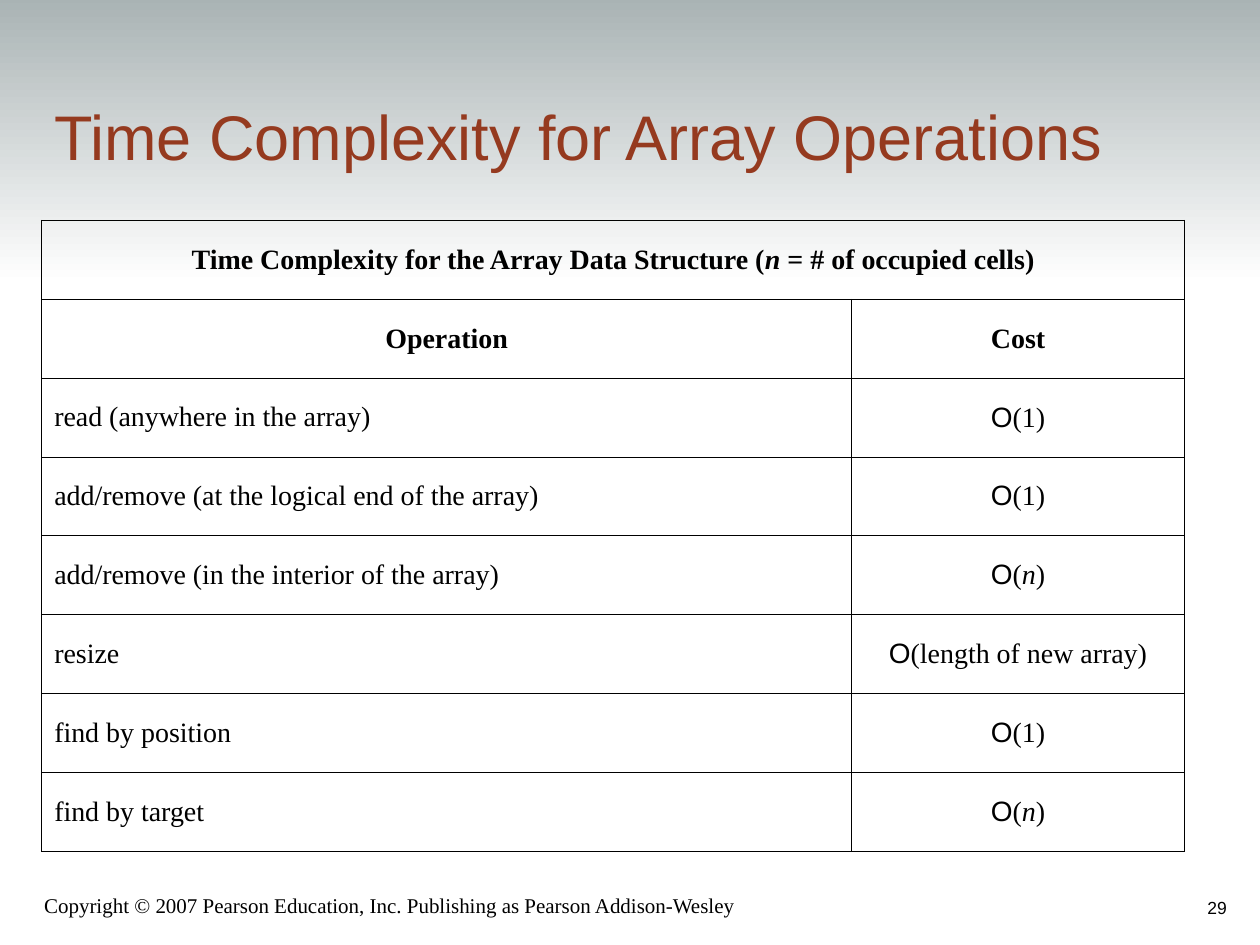
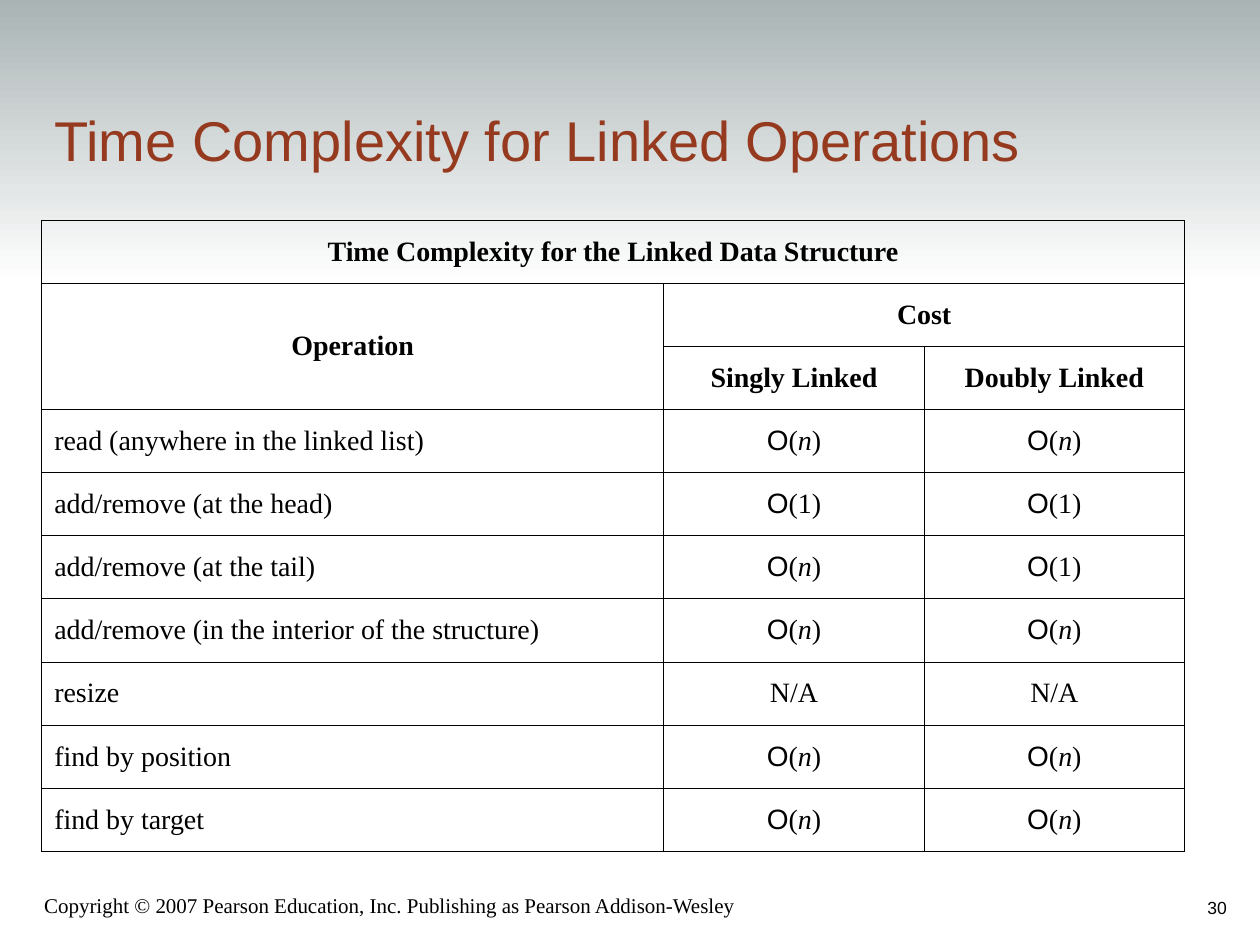
from pptx import Presentation, util as u
from pptx.dml.color import RGBColor
from pptx.enum import shapes, text
from pptx.oxml import parse_xml
from pptx.oxml.ns import nsdecls

SERIF, SANS = "Times New Roman", "Arial"
INK, TITLE_COLOUR, BAND_TOP, BAND_END = "000000", "953A1F", "A7B1B2", "FFFFFF"
LEFT, CENTRE, RIGHT = text.PP_ALIGN.LEFT, text.PP_ALIGN.CENTER, text.PP_ALIGN.RIGHT

COPYRIGHT = "Copyright © 2007 Pearson Education, Inc. Publishing as Pearson Addison-Wesley"
FIRST_NUMBER = 29
TITLE_TOP, TITLE_HEIGHT = 0.84, 2.77
TABLE_LEFT, TABLE_TOP, TABLE_HEIGHT = 0.84, 4.44, 12.72

# Text between asterisks is italic; None marks a cell covered by a merge.
CONSTANT, LINEAR = "Ο(1)", "Ο(*n*)"
SLIDES = [
    {
        "title": "Time Complexity for Array Operations",
        "title_size": 36,
        "title_width": 23.4,
        "columns": [16.33, 6.71],
        "header_rows": 2,
        "merges": [((0, 0), (0, 1))],
        "rows": [
            ["Time Complexity for the Array Data Structure (*n* = # of occupied cells)", None],
            ["Operation", "Cost"],
            ["read (anywhere in the array)", CONSTANT],
            ["add/remove (at the logical end of the array)", CONSTANT],
            ["add/remove (in the interior of the array)", LINEAR],
            ["resize", "Ο(length of new array)"],
            ["find by position", CONSTANT],
            ["find by target", LINEAR],
        ],
    },
    {
        "title": "Time Complexity for Linked Operations",
        "title_size": 32,
        "title_width": 21.5,
        "columns": [12.54, 5.25, 5.25],
        "header_rows": 3,
        "merges": [((0, 0), (0, 2)), ((1, 0), (2, 0)), ((1, 1), (1, 2))],
        "rows": [
            ["Time Complexity for the Linked Data Structure", None, None],
            ["Operation", "Cost", None],
            [None, "Singly Linked", "Doubly Linked"],
            ["read (anywhere in the linked list)", LINEAR, LINEAR],
            ["add/remove (at the head)", CONSTANT, CONSTANT],
            ["add/remove (at the tail)", LINEAR, CONSTANT],
            ["add/remove (in the interior of the structure)", LINEAR, LINEAR],
            ["resize", "N/A", "N/A"],
            ["find by position", LINEAR, LINEAR],
            ["find by target", LINEAR, LINEAR],
        ],
    },
]


def colour(code):
    return RGBColor.from_string(code)


def write(frame, content, size=16, font=SERIF, ink=INK, bold=False, align=LEFT):
    """Fill the first paragraph; the Omicron of a cost is set in the sans font."""
    para = frame.paragraphs[0]
    para.alignment = align
    for index, part in enumerate(content.split("*")):
        omicron = "Ο" if part.startswith("Ο") else ""
        for piece, face in ((omicron, SANS), (part[len(omicron):], font)):
            if piece:
                span = para.add_run()
                span.text = piece
                span.font.name, span.font.size = face, u.Pt(size)
                span.font.bold, span.font.italic = bold, index % 2 == 1
                span.font.color.rgb = colour(ink)


def place(shape, left, top, width, height):
    shape.left, shape.top = u.Cm(left), u.Cm(top)
    shape.width, shape.height = u.Cm(width), u.Cm(height)


def anchor_bottom(frame):
    frame.word_wrap = True
    frame.auto_size = text.MSO_AUTO_SIZE.NONE
    frame.vertical_anchor = text.MSO_ANCHOR.BOTTOM


def add_band(page):
    band = page.shapes.add_shape(
        shapes.MSO_SHAPE.RECTANGLE, u.Cm(0), u.Cm(-0.2), u.Cm(25.4), u.Cm(5.92))
    band.shadow.inherit = False
    band.line.fill.background()
    band.fill.gradient()
    band.fill.gradient_angle = 270
    for stop, position, code in zip(band.fill.gradient_stops, (0, 1), (BAND_TOP, BAND_END)):
        stop.position, stop.color.rgb = position, colour(code)
    page.shapes.element.insert(2, band.element)  # behind the title


def add_title(page, slide):
    title = page.shapes.title
    place(title, TABLE_LEFT, TITLE_TOP, slide["title_width"], TITLE_HEIGHT)
    anchor_bottom(title.text_frame)
    write(title.text_frame, slide["title"], slide["title_size"], SANS, TITLE_COLOUR)


def add_footer(page, content, left, top, width, height, **style):
    box = page.shapes.add_textbox(u.Cm(left), u.Cm(top), u.Cm(width), u.Cm(height))
    anchor_bottom(box.text_frame)
    write(box.text_frame, content, **style)


def add_borders(cell):
    properties = cell._tc.get_or_add_tcPr()
    for index, side in enumerate(("lnL", "lnR", "lnT", "lnB")):
        properties.insert(index, parse_xml(
            f'<a:{side} {nsdecls("a")} w="{u.Pt(0.45)}">'
            f'<a:solidFill><a:srgbClr val="{INK}"/></a:solidFill></a:{side}>'))


def add_cost_table(page, slide):
    rows, columns = slide["rows"], slide["columns"]
    table = page.shapes.add_table(
        len(rows), len(columns), u.Cm(TABLE_LEFT), u.Cm(TABLE_TOP),
        u.Cm(sum(columns)), u.Cm(TABLE_HEIGHT)).table
    table.first_row = table.horz_banding = False
    for column, width in zip(table.columns, columns):
        column.width = u.Cm(width)
    for start, end in slide["merges"]:
        table.cell(*start).merge(table.cell(*end))
    for row, contents in enumerate(rows):
        heading = row < slide["header_rows"]
        for column, content in enumerate(contents):
            cell = table.cell(row, column)
            cell.fill.background()
            cell.vertical_anchor = text.MSO_ANCHOR.MIDDLE
            add_borders(cell)
            if content:
                align = CENTRE if heading or column else LEFT
                write(cell.text_frame, content, bold=heading, align=align)


def main():
    deck = Presentation()
    deck.slide_width, deck.slide_height = u.Cm(25.4), u.Cm(19.05)
    for number, slide in enumerate(SLIDES, FIRST_NUMBER):
        page = deck.slides.add_slide(deck.slide_layouts[5])
        add_band(page)
        add_title(page, slide)
        add_cost_table(page, slide)
        add_footer(page, COPYRIGHT, 0.64, 17.57, 15.45, 1.06, size=12)
        add_footer(page, str(number), 19.69, 17.36, 5.29, 1.27,
                   size=10, font=SANS, align=RIGHT)
    deck.save("out.pptx")


if __name__ == "__main__":
    main()
